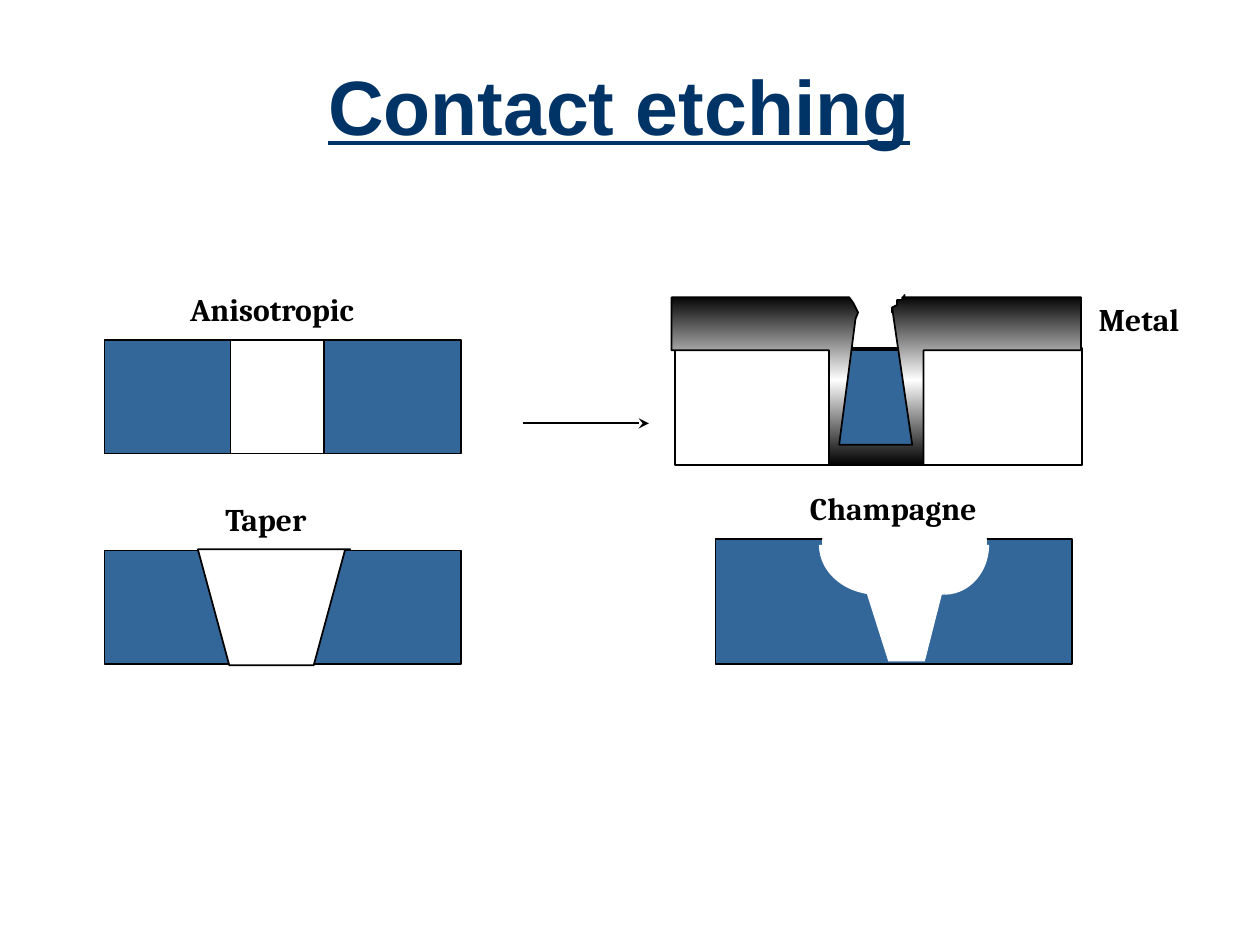
from copy import deepcopy
from lxml.etree import SubElement
from pptx import Presentation
from pptx.dml.color import RGBColor
from pptx.enum.shapes import MSO_CONNECTOR, MSO_SHAPE
from pptx.enum.text import MSO_ANCHOR, MSO_AUTO_SIZE, PP_ALIGN
from pptx.oxml.ns import qn
from pptx.util import Pt

PX = 9144  # 100 px to the inch
COLORS = {"title": "003366", "oxide": "336699", "white": "FFFFFF",
          "shine": "FEFEFE", "black": "000000"}


def rgb(name):
    return RGBColor.from_string(COLORS[name])


def emu(*vals):
    return [v * PX for v in vals]


def paint(shape, fill=None, line=None):
    shape.shadow.inherit = False
    if fill:
        shape.fill.solid()
        shape.fill.fore_color.rgb = rgb(fill)
    else:
        shape.fill.background()
    if line:
        shape.line.color.rgb = rgb(line)
        shape.line.width = Pt(1)
    else:
        shape.line.fill.background()
    return shape


def block(shapes, box, fill=None, line=None, kind=MSO_SHAPE.RECTANGLE):
    return paint(shapes.add_shape(kind, *emu(*box)), fill, line)


def outline(shapes, x, y, pts, fill=None, line=None):
    pts = [(x + dx, y + dy) for dx, dy in pts]
    path = shapes.build_freeform(*pts[0], scale=PX)
    path.add_line_segments(pts[1:], close=True)
    return paint(path.convert_to_shape(), fill, line)


def style(par, size, face, color):
    font = par.font
    font.size, font.name, font.bold = Pt(size), face, True
    font.color.rgb = rgb(color)


def label(shapes, text, x, y, w):
    frame = shapes.add_textbox(*emu(x, y, w, 40)).text_frame
    frame.word_wrap = False
    frame.auto_size = MSO_AUTO_SIZE.SHAPE_TO_FIT_TEXT
    frame.text = text
    style(frame.paragraphs[0], 18, "Cambria", "black")


def heading(slide, box):
    title = slide.shapes.title
    title.left, title.top, title.width, title.height = emu(*box)
    frame = title.text_frame
    frame.text = "Contact etching"
    frame.vertical_anchor = MSO_ANCHOR.MIDDLE
    par = frame.paragraphs[0]
    par.alignment = PP_ALIGN.CENTER
    par.line_spacing = 0.9
    style(par, 44, "Arial", "title")
    par.font.underline = True


def taper(shapes, x, y, w, h):
    block(shapes, (x, y, w, h), "oxide", "black")
    hole = [(74, -1), (99, h + 1), (166, h + 1), (191, -1), (195, -1)]
    outline(shapes, x, y, hole, "white", "black")
    label(shapes, "Taper", x + 86, y - 45, 95)


def straight(shapes, x, y, w, h):
    block(shapes, (x, y, w, h), "oxide", "black")
    block(shapes, (x + 100, y, 74, h), "white", "black")
    label(shapes, "Anisotropic", x + 58, y - 45, 169)


def arrow(shapes, x, y, w):
    line = shapes.add_connector(MSO_CONNECTOR.STRAIGHT, *emu(x, y, x + w, y))
    line.line.color.rgb = rgb("black")
    line.line.width = Pt(1)
    SubElement(line.line._get_or_add_ln(), qn("a:tailEnd"), type="stealth")
    SubElement(line._element.spPr, qn("a:effectLst"))


def goblet(shapes, x, y, w, h):
    label(shapes, "Champagne", x + 65, y - 45, 169)
    parts = shapes.add_group_shape().shapes
    block(parts, (x, y, w, h), "oxide", "black")
    # Rounded bowl: quarter ellipses, angles in degrees
    for dx, pw, start, end in ((82, 93, 90, 180), (146, 71, 90, 180),
                               (146, 71, 0, 90)):
        pie = block(parts, (x + dx, y - 35, pw, 79), "white",
                    kind=MSO_SHAPE.PIE)
        pie.adjustments[0] = start * 0.6
        pie.adjustments[1] = end * 0.6
    # Stem, middle and open rim
    stem = [(182, 34), (166, 97), (137, 97), (117, 34)]
    outline(parts, x, y, stem, "white")
    block(parts, (x + 118, y + 5, 64, 38), "white")
    block(parts, (x + 85, y, 130, 7), "white", "white")


def metal(shapes, x, y):
    block(shapes, (x + 3, y + 42, 323, 93), line="black")
    block(shapes, (x + 126, y + 44, 74, 90), "oxide", "black")
    # Metal film lining the contact, with ragged lips
    film = [(0, 44), (0, 2), (141, 2), (144, 6), (146, 10), (148, 14),
            (146, 19), (133, 119), (191, 119), (175, 10), (175, 14),
            (175, 10), (179, 8), (179, 4), (183, 4), (185, 0), (183, 4),
            (183, 2), (325, 2), (325, 44), (200, 44), (200, 135),
            (125, 135), (125, 44)]
    shape = outline(shapes, x, y, film, "black", "black")
    shape.fill.gradient()
    shape.fill.gradient_angle = 270
    for stop in shape.fill.gradient_stops:
        stop.color.rgb = rgb("black")
    stops = shape._element.spPr.find(qn("a:gradFill")).find(qn("a:gsLst"))
    stops.insert(1, deepcopy(stops[0]))
    mid = shape.fill.gradient_stops[1]
    mid.position = 0.5
    mid.color.rgb = rgb("shine")
    label(shapes, "Metal", x + 329, y - 1, 92)


def main():
    deck = Presentation()
    deck.slide_width, deck.slide_height = emu(1000, 750)
    slide = deck.slides.add_slide(deck.slide_layouts[5])
    shapes = slide.shapes
    heading(slide, (25, 25, 933, 125))
    taper(shapes, 83, 437, 283, 90)
    straight(shapes, 83, 270, 283, 90)
    arrow(shapes, 415, 336, 100)
    goblet(shapes, 568, 428, 283, 99)
    metal(shapes, 533, 234)
    deck.save("out.pptx")


if __name__ == "__main__":
    main()
